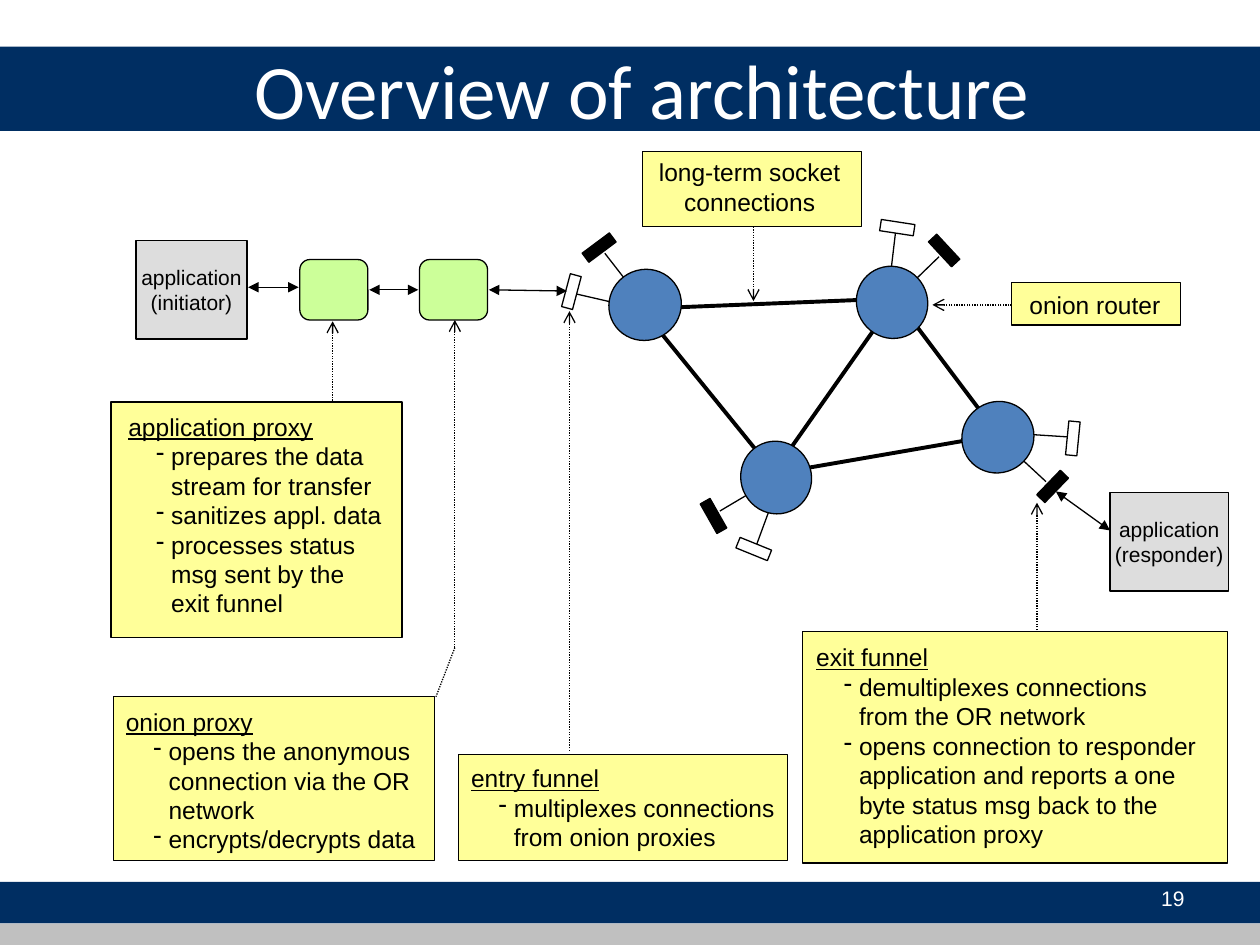
from math import cos, radians, sin

from lxml.etree import SubElement
from pptx import Presentation
from pptx.dml.color import RGBColor
from pptx.enum.dml import MSO_LINE
from pptx.enum.shapes import MSO_CONNECTOR, MSO_SHAPE
from pptx.enum.text import MSO_ANCHOR as ANCHOR, MSO_AUTO_SIZE, PP_ALIGN as ALIGN
from pptx.oxml.ns import qn
from pptx.util import Pt

EMU_PER_PX = 9144
NAVY, SILVER, GREY = "002E62", "C0C0C0", "DDDDDD"
YELLOW, GREEN, BLUE = "FFFF99", "CCFF99", "4F81BD"
BLACK, WHITE = "000000", "FFFFFF"


def px(*lengths):
    return [round(length * EMU_PER_PX) for length in lengths]


def color(value):
    return RGBColor.from_string(value)


def add_box(shapes, area, fill, kind=MSO_SHAPE.RECTANGLE, line=BLACK, rotation=0):
    shape = shapes.add_shape(kind, *px(*area))
    shape.shadow.inherit = False
    shape.rotation = rotation % 360
    shape.fill.solid()
    shape.fill.fore_color.rgb = color(fill)
    if line:
        shape.line.color.rgb = color(line)
        shape.line.width = Pt(0.75)
    else:
        shape.line.fill.background()
    return shape


def add_line(shapes, start, end, width=0.75, dotted=False, head=None, tail=None):
    connector = shapes.add_connector(MSO_CONNECTOR.STRAIGHT, *px(*start, *end))
    connector.line.color.rgb = color(BLACK)
    connector.line.width = Pt(width)
    if dotted:
        connector.line.dash_style = MSO_LINE.ROUND_DOT
    properties = connector._element.spPr
    outline = properties.find(qn("a:ln"))
    for tag, arrow in (("a:headEnd", head), ("a:tailEnd", tail)):
        if arrow:
            SubElement(outline, qn(tag), type=arrow)
    SubElement(properties, qn("a:effectLst"))


def set_bullet(paragraph):
    properties = paragraph._p.get_or_add_pPr()
    margin, hang = px(34, 12)
    properties.set("marL", str(margin))
    properties.set("indent", str(-hang))
    SubElement(properties, qn("a:buChar"), char="-")


def write(shape, lines, size=14, font="Arial", fill=BLACK, align=ALIGN.LEFT,
          anchor=ANCHOR.TOP, wrap=False, headed=False):
    frame = shape.text_frame
    frame.word_wrap = wrap
    frame.auto_size = MSO_AUTO_SIZE.NONE
    frame.vertical_anchor = anchor
    for index, text in enumerate(lines):
        paragraph = frame.add_paragraph() if index else frame.paragraphs[0]
        paragraph.text = text
        paragraph.alignment = align
        if headed and index:
            set_bullet(paragraph)
        for line_break in paragraph._p.findall(qn("a:br")):
            SubElement(line_break, qn("a:rPr"), sz=str(size * 100))
        for run in paragraph.runs:
            run.font.size = Pt(size)
            run.font.name = font
            run.font.color.rgb = color(fill)
            if headed and not index:
                run.font.underline = True


def add_text(shapes, area, lines, **text_format):
    write(shapes.add_textbox(*px(*area)), lines, **text_format)


def add_note(shapes, box, area, lines, **text_format):
    add_box(shapes, box, YELLOW)
    add_text(shapes, area, lines, **text_format)


def add_application(shapes, area, role):
    write(add_box(shapes, area, GREY), ["application", role], size=12,
          align=ALIGN.CENTER, anchor=ANCHOR.MIDDLE)


def add_proxy(shapes, left):
    add_box(shapes, (left, 206, 54, 48), GREEN, MSO_SHAPE.ROUNDED_RECTANGLE)


def add_router(slide, center, turn):
    shapes = slide.shapes.add_group_shape().shapes
    angle = radians(turn)

    def place(x, y):
        return (center[0] + x * cos(angle) - y * sin(angle),
                center[1] + x * sin(angle) + y * cos(angle))

    def add_part(middle, width, height, fill, rotation, kind=MSO_SHAPE.RECTANGLE):
        x, y = place(*middle)
        add_box(shapes, (x - width / 2, y - height / 2, width, height), fill, kind,
                rotation=rotation + turn)

    add_line(shapes, place(-56, -9), place(-17, 0))
    add_line(shapes, place(-32, -41), place(-11, -14))
    add_part((0, 0), 58, 56, BLUE, -29.8, MSO_SHAPE.OVAL)
    add_part((-36.5, -45.5), 9, 27, BLACK, 53.3)
    add_part((-58.5, -10.5), 9, 27, WHITE, 14.9)


def add_title(slide):
    title = slide.shapes.title
    title.left, title.top, title.width, title.height = px(192, 8, 792, 125)
    write(title, ["Overview of architecture"], size=44, font="Calibri", fill=WHITE,
          anchor=ANCHOR.MIDDLE, wrap=True)
    for top, height, fill in ((700, 33, NAVY), (37, 67, NAVY), (733, 17, SILVER)):
        bar = add_box(slide.shapes, (0, top, 1000, height), fill, line=None)
        title._element.addprevious(bar._element)


def add_network(slide):
    links = [((509, 245), (617, 378)), ((510, 245), (709, 237)),
             ((711, 237), (793, 346)), ((614, 375), (711, 237)),
             ((614, 376), (793, 345))]
    for start, end in links:
        add_line(slide.shapes, start, end, width=2.25)
    routers = [((512, 242), 0), ((616, 379), -82.8),
               ((708, 240), 83.8), ((792, 347), 170.7)]
    for center, turn in routers:
        add_router(slide, center, turn)


def add_endpoints(shapes):
    add_application(shapes, (108, 191, 88, 78), "(initiator)")
    add_application(shapes, (881, 391, 94, 78), "(responder)")
    for left in (238, 333):
        add_proxy(shapes, left)
    streams = [((197, 228), (237, 228)), ((293, 230), (332, 230)),
               ((388, 230), (450, 231)), ((838, 390), (881, 421))]
    for start, end in streams:
        add_line(shapes, start, end, head="triangle", tail="triangle")


def add_notes(shapes):
    labels = [
        ((803, 224, 134, 34), (807, 225, 124, 34), ["onion router"]),
        ((510, 120, 174, 60), (513, 120, 164, 57), ["long-term socket", "connections"]),
    ]
    for box, area, lines in labels:
        add_note(shapes, box, area, lines, align=ALIGN.CENTER)

    notes = [
        ((88, 319, 231, 187), (92, 322, 225, 174),
         ["application proxy", "prepares the data\vstream for transfer",
          "sanitizes appl. data", "processes status\vmsg sent by the\vexit funnel"]),
        ((90, 553, 255, 130), (90, 556, 260, 127),
         ["onion proxy", "opens the anonymous\vconnection via the OR\vnetwork",
          "encrypts/decrypts data"]),
        ((364, 599, 261, 84), (364, 601, 266, 80),
         ["entry funnel", "multiplexes connections\vfrom onion proxies"]),
        ((637, 501, 337, 184), (638, 505, 326, 174),
         ["exit funnel", "demultiplexes connections\vfrom the OR network",
          "opens connection to responder\vapplication and reports a one\v"
          "byte status msg back to the\vapplication proxy"]),
    ]
    for box, area, lines in notes:
        add_note(shapes, box, area, lines, wrap=True, headed=True)

    pointers = [((803, 242), (740, 242)), ((823, 500), (823, 399)),
                ((452, 596), (452, 247)), ((598, 180), (598, 239)),
                ((264, 318), (264, 255)), ((361, 514), (361, 254))]
    for start, end in pointers:
        add_line(shapes, start, end, dotted=True, tail="arrow")
    add_line(shapes, (361, 514), (346, 553), dotted=True)


def main():
    presentation = Presentation()
    presentation.slide_width, presentation.slide_height = px(1000, 750)
    slide = presentation.slides.add_slide(presentation.slide_layouts[5])
    add_title(slide)
    add_text(slide.shapes, (717, 693, 233, 40), ["19"], size=12, fill=WHITE,
             align=ALIGN.RIGHT, anchor=ANCHOR.MIDDLE, wrap=True)
    add_network(slide)
    add_endpoints(slide.shapes)
    add_notes(slide.shapes)
    presentation.save("out.pptx")


if __name__ == "__main__":
    main()
